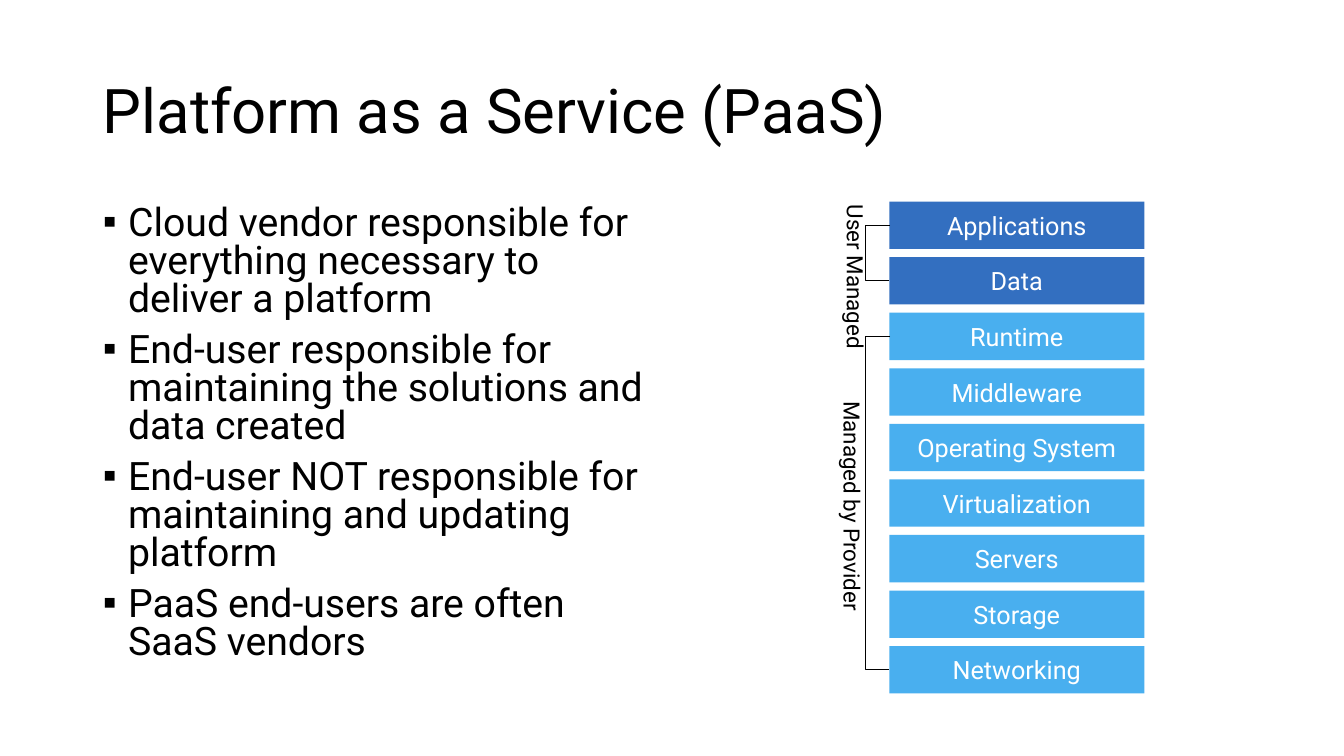
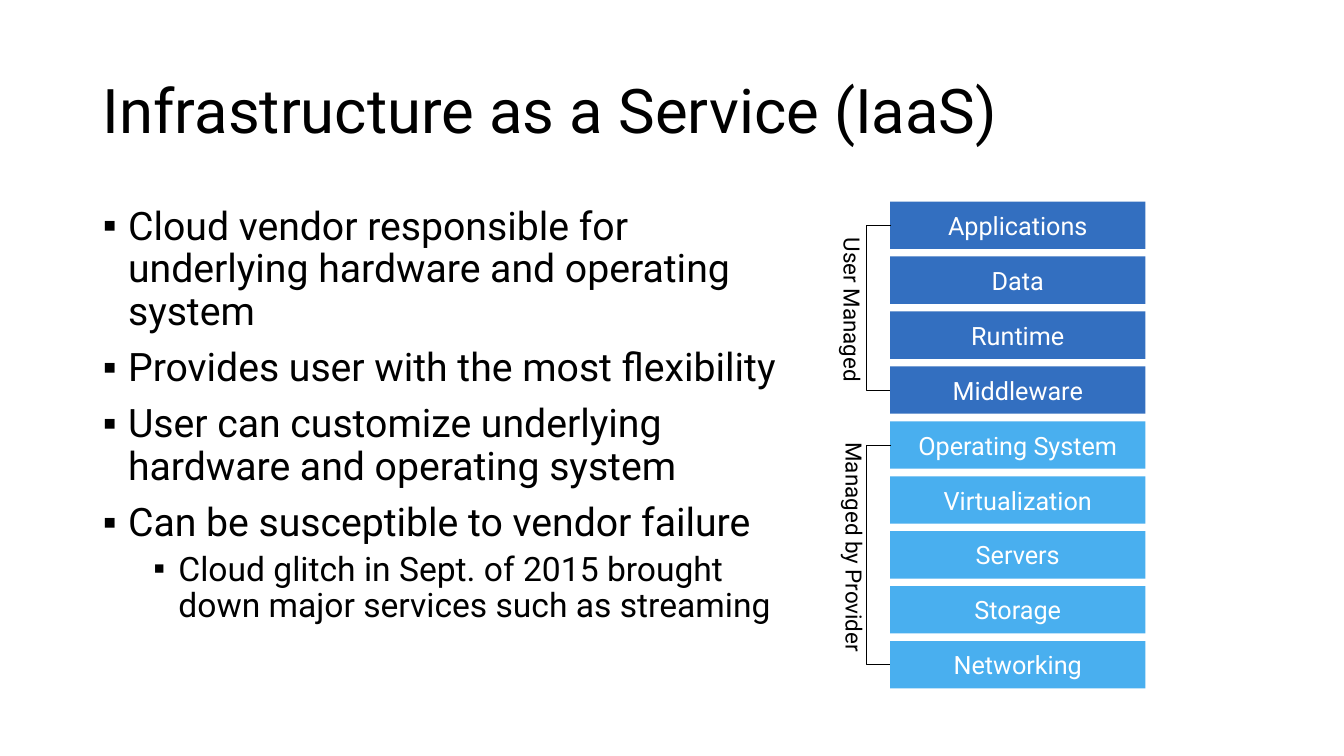
from lxml.etree import SubElement
from pptx import Presentation
from pptx.dml.color import RGBColor
from pptx.enum.shapes import MSO_CONNECTOR, MSO_SHAPE
from pptx.enum.text import MSO_ANCHOR, MSO_AUTO_SIZE, PP_ALIGN
from pptx.oxml.ns import qn
from pptx.util import Inches, Pt

BLACK = RGBColor(0x00, 0x00, 0x00)
WHITE = RGBColor(0xFF, 0xFF, 0xFF)
USER_BLUE = RGBColor(0x33, 0x6F, 0xC0)
PROVIDER_BLUE = RGBColor(0x49, 0xAF, 0xEF)

FONT = "Roboto"
TITLE_BOX = (0.92, 0.4, 11.5, 1.45)
LAYERS = ["Applications", "Data", "Runtime", "Middleware", "Operating System",
          "Virtualization", "Servers", "Storage", "Networking"]
LAYER_HEIGHT = 0.47
BRACKET_DEPTH = 0.25
BRACKET_WIDTH = 0.01
LABEL_WIDTH = 0.25

FRAME_FORMAT = {"word_wrap": True, "auto_size": MSO_AUTO_SIZE.NONE}
LABEL_FORMAT = {"word_wrap": False, "auto_size": MSO_AUTO_SIZE.SHAPE_TO_FIT_TEXT,
                "margin_left": 0, "margin_right": 0, "margin_top": 0, "margin_bottom": 0}
BULLET_LEVELS = [
    {"size": 28, "margin": 0.25, "space": 10},
    {"size": 24, "margin": 0.75, "space": 5},
]

SLIDES = [
    {
        "title": "Platform as a Service (PaaS)",
        "bullets": [
            ("Cloud vendor responsible for everything necessary to deliver a platform", 0),
            ("End-user responsible for maintaining the solutions and data created", 0),
            ("End-user NOT responsible for maintaining and updating platform", 0),
            ("PaaS end-users are often SaaS vendors", 0),
        ],
        "body_box": (0.92, 2, 5.67, 4.76),
        "line_spacing": 0.8,
        "stack_box": (8.82, 2, 2.53, 4.88),
        "user_layers": 2,
        "user_label": (8.34, 2.03),
        "provider_label": (8.31, 3.98),
    },
    {
        "title": "Infrastructure as a Service (IaaS)",
        "bullets": [
            ("Cloud vendor responsible for underlying hardware and operating system", 0),
            ("Provides user with the most flexibility", 0),
            ("User can customize underlying hardware and operating system", 0),
            ("Can be susceptible to vendor failure", 0),
            ("Cloud glitch in Sept. of 2015 brought down major services such as streaming", 1),
        ],
        "body_box": (0.92, 2, 6.92, 4.76),
        "line_spacing": 0.9,
        "stack_box": (8.83, 2, 2.53, 4.83),
        "user_layers": 4,
        "user_label": (8.31, 2.36),
        "provider_label": (8.33, 4.39),
    },
]


def apply_format(target, values):
    for name, value in values.items():
        setattr(target, name, value)


def place(shape, box):
    names = ("left", "top", "width", "height")
    apply_format(shape, {name: Inches(value) for name, value in zip(names, box)})


def write(para, text, size, color, **para_format):
    apply_format(para, para_format)
    span = para.add_run()
    span.text = text
    apply_format(span.font, {"name": FONT, "size": Pt(size)})
    span.font.color.rgb = color


def add_bullet(para, margin):
    properties = para._p.get_or_add_pPr()
    properties.set("marL", str(Inches(margin)))
    properties.set("indent", str(Inches(-0.25)))
    SubElement(properties, qn("a:buFont")).set("typeface", "Arial")
    SubElement(properties, qn("a:buChar")).set("char", "▪")


def fill_title(page, text, box):
    title = page.shapes.title
    place(title, box)
    apply_format(title.text_frame, {**FRAME_FORMAT, "vertical_anchor": MSO_ANCHOR.MIDDLE})
    write(title.text_frame.paragraphs[0], text, 44, BLACK,
          alignment=PP_ALIGN.LEFT, line_spacing=0.9)


def fill_body(page, bullets, line_spacing, box):
    body = page.placeholders[1]
    place(body, box)
    frame = body.text_frame
    apply_format(frame, FRAME_FORMAT)
    for index, (text, level) in enumerate(bullets):
        para = frame.add_paragraph() if index else frame.paragraphs[0]
        style = BULLET_LEVELS[level]
        add_bullet(para, style["margin"])
        write(para, text, style["size"], BLACK, level=level, line_spacing=line_spacing,
              space_before=Pt(style["space"] if index else 0))


def add_layer(group, text, color, box):
    layer = group.shapes.add_shape(MSO_SHAPE.RECTANGLE, *map(Inches, box))
    layer.shadow.inherit = False
    layer.fill.solid()
    layer.fill.fore_color.rgb = color
    layer.line.fill.background()
    layer.text_frame.vertical_anchor = MSO_ANCHOR.MIDDLE
    write(layer.text_frame.paragraphs[0], text, 18, WHITE, alignment=PP_ALIGN.CENTER)


def add_bracket(group, right, top, bottom):
    bracket = group.shapes.add_connector(
        MSO_CONNECTOR.ELBOW, Inches(right + BRACKET_WIDTH), Inches(top),
        Inches(right), Inches(bottom))
    bracket.line.color.rgb = BLACK
    bracket.line.width = Pt(0.5)
    properties = bracket._element.spPr
    SubElement(properties, qn("a:effectLst"))
    guides = properties.find(qn("a:prstGeom")).get_or_add_avLst()
    guide = SubElement(guides, qn("a:gd"))
    guide.set("name", "adj1")
    guide.set("fmla", f"val {round(BRACKET_DEPTH / BRACKET_WIDTH * 100000)}")


def add_vertical_label(group, text, position, length):
    label = group.shapes.add_textbox(*map(Inches, (*position, LABEL_WIDTH, length)))
    frame = label.text_frame
    apply_format(frame, LABEL_FORMAT)
    frame._txBody.bodyPr.set("vert", "eaVert")
    write(frame.paragraphs[0], text, 16, BLACK, line_spacing=0.9)


def add_stack(page, content, box):
    left, top, width, height = box
    group = page.shapes.add_group_shape()
    pitch = (height - LAYER_HEIGHT) / (len(LAYERS) - 1)
    user_layers = content["user_layers"]
    for index, text in enumerate(LAYERS):
        color = USER_BLUE if index < user_layers else PROVIDER_BLUE
        add_layer(group, text, color, (left, top + index * pitch, width, LAYER_HEIGHT))
    middle = top + LAYER_HEIGHT / 2
    for first, last in ((0, user_layers - 1), (user_layers, len(LAYERS) - 1)):
        add_bracket(group, left, middle + first * pitch, middle + last * pitch)
    add_vertical_label(group, "User Managed", content["user_label"], 1.47)
    add_vertical_label(group, "Managed by Provider", content["provider_label"], 2.13)


def build_service_slide(deck, content):
    page = deck.slides.add_slide(deck.slide_layouts[1])
    fill_title(page, content["title"], TITLE_BOX)
    fill_body(page, content["bullets"], content["line_spacing"], content["body_box"])
    add_stack(page, content, content["stack_box"])


def main():
    deck = Presentation()
    deck.slide_width = Inches(13.33)
    deck.slide_height = Inches(7.5)
    for content in SLIDES:
        build_service_slide(deck, content)
    deck.save("out.pptx")


if __name__ == "__main__":
    main()
